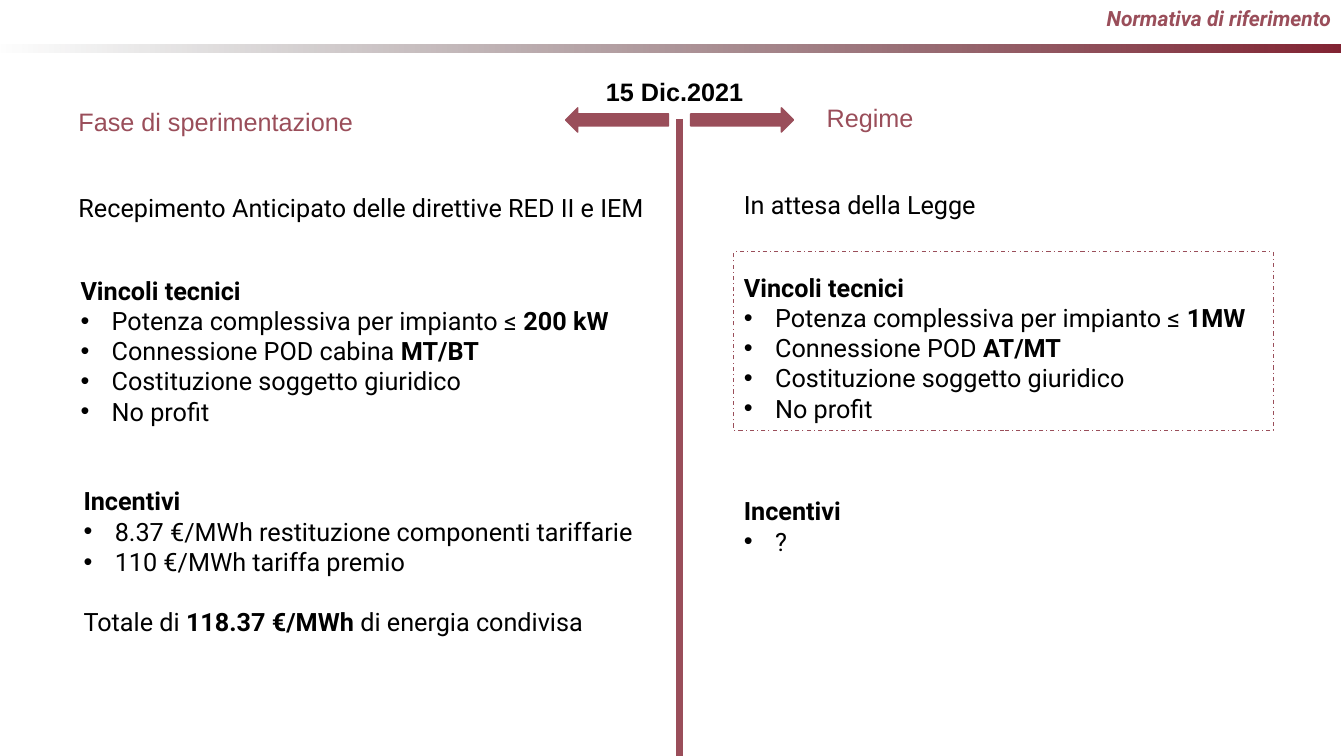
from dataclasses import dataclass

from lxml import etree
from pptx import Presentation
from pptx import util as u
from pptx.dml.color import RGBColor
from pptx.enum import dml, shapes, text
from pptx.oxml import ns


@dataclass(frozen=True)
class Theme:
    wine: str = "9A4E5A"
    deep: str = "822433"
    gray: str = "383838"
    ink: str = "000000"
    body: str = "Roboto"
    label: str = "Arial"
    body_size: float = 18
    title_size: float = 15
    hang: float = 0.31


def assign(target, values):
    for name, value in values.items():
        setattr(target, name, value)


class Sheet:
    """Draws themed elements on one slide, with lengths in percent of its size."""

    def __init__(self, deck, theme):
        self.deck, self.theme = deck, theme
        self.page = deck.slides.add_slide(deck.slide_layouts[6])

    def across(self, share):
        return round(self.deck.slide_width * share / 100)

    def down(self, share):
        return round(self.deck.slide_height * share / 100)

    def place(self, left, top, width, height):
        return self.across(left), self.down(top), self.across(width), self.down(height)

    def outline(self, line, width, dash=None):
        line.color.rgb = RGBColor.from_string(self.theme.wine)
        assign(line, {"width": u.Pt(width), "dash_style": dash})

    def shape(self, kind, area, fill=None, width=None, dash=None):
        box = self.page.shapes.add_shape(kind, *self.place(*area))
        box.shadow.inherit = False
        if fill:
            box.fill.solid()
            box.fill.fore_color.rgb = RGBColor.from_string(fill)
        else:
            box.fill.background()
        if width:
            self.outline(box.line, width, dash)
        else:
            box.line.fill.background()
        return box

    def fading_bar(self, area):
        bar = self.shape(shapes.MSO_SHAPE.RECTANGLE, area)
        bar.fill.gradient()
        bar.fill.gradient_angle = 180
        colors = (self.theme.deep, self.theme.gray)
        for stop, color, position in zip(bar.fill.gradient_stops, colors, (0, 1)):
            stop.color.rgb = RGBColor.from_string(color)
            stop.position = position
        tints = list(bar._element.spPr.iter(ns.qn("a:srgbClr")))
        etree.SubElement(tints[-1], ns.qn("a:alpha"), val="0")

    def divider(self, left, top, bottom, width):
        x = self.across(left)
        rule = self.page.shapes.add_connector(
            shapes.MSO_CONNECTOR.STRAIGHT, x, self.down(top), x, self.down(bottom))
        self.outline(rule.line, width)
        etree.SubElement(rule._element.spPr, ns.qn("a:effectLst"))

    def bullet(self, para):
        props = para._p.get_or_add_pPr()
        hang = u.Inches(self.theme.hang)
        props.set("marL", str(hang))
        props.set("indent", str(-hang))
        etree.SubElement(props, ns.qn("a:buFont"), typeface=self.theme.label)
        etree.SubElement(props, ns.qn("a:buChar"), char="•")

    def letter(self, box, lines, font=None, formats=None):
        """Fills a box; asterisks enclose bold words and a leading dash makes a bullet."""
        look = {"name": self.theme.body, "size": u.Pt(self.theme.body_size), **(font or {})}
        color = look.pop("color", self.theme.ink)
        frame = box.text_frame
        assign(frame, {"word_wrap": True, "auto_size": text.MSO_AUTO_SIZE.SHAPE_TO_FIT_TEXT,
                       "vertical_anchor": text.MSO_ANCHOR.TOP})
        for index, line in enumerate(lines):
            para = frame.add_paragraph() if index else frame.paragraphs[0]
            para.alignment = text.PP_ALIGN.LEFT
            assign(para, (formats or {}).get(index, {}))
            if line.startswith("- "):
                self.bullet(para)
            for order, words in enumerate(line.removeprefix("- ").split("*")):
                if words:
                    span = para.add_run()
                    span.text = words
                    assign(span.font, {"bold": order % 2 == 1, **look})
                    span.font.color.rgb = RGBColor.from_string(color)

    def note(self, area, lines, font=None, formats=None):
        box = self.page.shapes.add_textbox(*self.place(*area))
        self.letter(box, lines, font, formats)


def limits(power, connection):
    return ["*Vincoli tecnici*", f"- Potenza complessiva per impianto ≤ *{power}*",
            f"- Connessione POD {connection}", "- Costituzione soggetto giuridico", "- No profit"]


theme = Theme()
deck = Presentation()
assign(deck, {"slide_width": u.Inches(13.33), "slide_height": u.Inches(7.5)})
sheet = Sheet(deck, theme)
heading = {"name": theme.label, "color": theme.wine}
airy = {0: {"line_spacing": 1.5}}
right = 54.61

sheet.fading_bar((-0.83, 5.87, 100.6, 1.07))
sheet.note((19.28, 0.4, 80.5, 5.47), ["*Normativa di riferimento*"],
           {"size": u.Pt(theme.title_size), "italic": True, "color": theme.wine},
           {0: {"alignment": text.PP_ALIGN.RIGHT, "line_spacing": 0.9}})
sheet.divider(50.56, 15.73, 100, 4.5)

sheet.note((5.1, 24.8, 47.7, 5.33), ["Recepimento Anticipato delle direttive RED II e IEM"])
sheet.note((right, 24.4, 19.5, 5.33), ["In attesa della Legge"])
sheet.note((5.1, 13.47, 30.7, 5.33), ["Fase di sperimentazione"], heading)
sheet.note((60.77, 12.93, 14.6, 5.33), ["Regime"], heading)

sheet.note((5.25, 33.73, 41.4, 23.6), limits("200 kW", "cabina *MT/BT*"), formats=airy)
dashed = sheet.shape(shapes.MSO_SHAPE.RECTANGLE, (right, 33.33, 40.14, 23.6),
                     width=0.75, dash=dml.MSO_LINE.DASH_DOT)
sheet.letter(dashed, limits("1MW", "*AT/MT*"), formats=airy)

for kind, left in ((shapes.MSO_SHAPE.LEFT_ARROW, 42.09), (shapes.MSO_SHAPE.RIGHT_ARROW, 51.39)):
    sheet.shape(kind, (left, 14.27, 7.65, 3.2), theme.wine, 1)
sheet.note((44.34, 9.47, 12.38, 5.33), ["*15 Dic.2021*"], {"name": theme.label})

sheet.note((5.48, 63.6, 43.96, 21.6),
           ["*Incentivi*", "- 8.37 €/MWh restituzione componenti tariffarie",
            "- 110 €/MWh tariffa premio", "Totale di *118.37 €/MWh *di energia condivisa"],
           formats={3: {"space_before": u.Pt(21.5)}})
sheet.note((right, 64.93, 43.96, 9.47), ["*Incentivi*", "- ?"])

deck.save("out.pptx")
